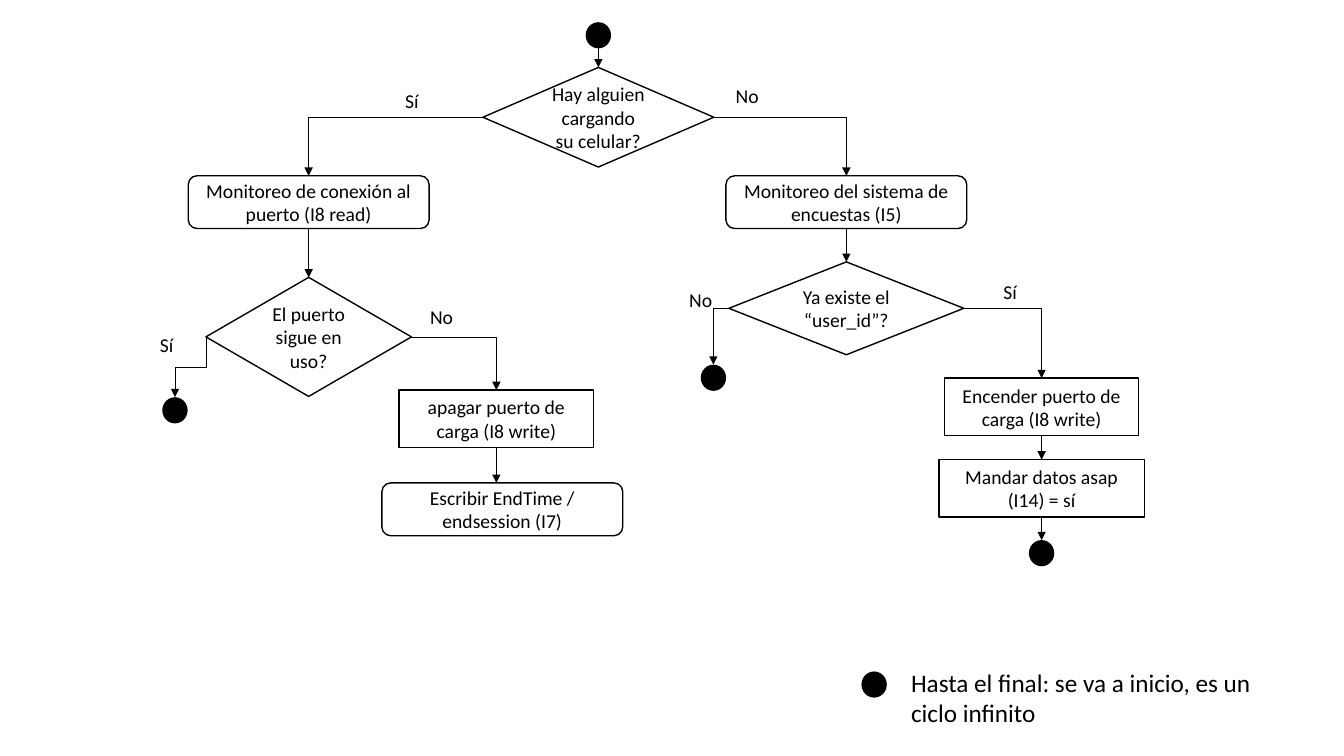
from lxml.etree import SubElement
from pptx import Presentation
from pptx.dml.color import RGBColor
from pptx.enum.shapes import MSO_CONNECTOR as Link, MSO_SHAPE as Shape
from pptx.enum.text import MSO_ANCHOR as Anchor, PP_ALIGN as Align
from pptx.oxml.ns import qn
from pptx.util import Cm, Pt

BLACK = RGBColor(0x00, 0x00, 0x00)
WHITE = RGBColor(0xFF, 0xFF, 0xFF)
FONT = "Calibri"
ROUNDED = (6.07, 1.33)
ACTION = (4.9, 1.45)
DOT = (0.64, 0.66)


def write(frame, text, size=14, align=Align.LEFT, anchor=Anchor.TOP):
    """Fill a text frame with one formatted paragraph."""
    frame.word_wrap = True
    frame.vertical_anchor = anchor
    para = frame.paragraphs[0]
    para.alignment = align
    span = para.add_run()
    span.text = text
    span.font.name = FONT
    span.font.size = Pt(size)
    span.font.color.rgb = BLACK


def add_node(page, kind, centre, top, size, text):
    """Draw an outlined step with centred text."""
    width, height = size
    node = page.shapes.add_shape(kind, Cm(centre - width / 2), Cm(top), Cm(width), Cm(height))
    node.shadow.inherit = False
    node.fill.solid()
    node.fill.fore_color.rgb = WHITE
    node.line.color.rgb = BLACK
    node.line.width = Pt(1)
    write(node.text_frame, text, align=Align.CENTER, anchor=Anchor.MIDDLE)
    return node


def add_dot(page, centre, top):
    """Draw a black start or end dot."""
    width, height = DOT
    dot = page.shapes.add_shape(Shape.OVAL, Cm(centre - width / 2), Cm(top), Cm(width), Cm(height))
    dot.shadow.inherit = False
    dot.fill.solid()
    dot.fill.fore_color.rgb = BLACK
    dot.line.fill.background()
    return dot


def add_text(page, left, top, text, width=1.75, height=0.86, size=14):
    """Place a free text box."""
    box = page.shapes.add_textbox(Cm(left), Cm(top), Cm(width), Cm(height))
    write(box.text_frame, text, size=size)


def add_arrow(page, kind, begin, end):
    """Draw a thin line that ends in a triangle."""
    arrow = page.shapes.add_connector(kind, *begin, *end)
    arrow.line.color.rgb = BLACK
    arrow.line.width = Pt(0.5)
    SubElement(arrow.line._get_or_add_ln(), qn("a:tailEnd"), type="triangle")
    SubElement(arrow._element.spPr, qn("a:effectLst"))
    return arrow


def middle(node):
    """Return the horizontal centre of a node."""
    return node.left + node.width // 2


def side(node, right):
    """Return the right or left corner point of a node."""
    return node.left + (node.width if right else 0), node.top + node.height // 2


def link_down(page, upper, lower):
    """Join two stacked nodes with a vertical arrow."""
    axis = middle(upper)
    add_arrow(page, Link.STRAIGHT, (axis, upper.top + upper.height), (axis, lower.top))


def link_corner(page, decision, target, right):
    """Leave a decision sideways and turn once, down to the target."""
    arrow = add_arrow(page, Link.ELBOW, side(decision, right), (middle(target), target.top))
    arrow._element.spPr.find(qn("a:prstGeom")).set("prst", "bentConnector2")


def link_step(page, decision, target):
    """Go down, left and down again from the left corner of a decision."""
    x, y = side(decision, False)
    run, drop = x - middle(target), target.top - y
    left, top = x - (run + drop) // 2, y + (drop - run) // 2
    arrow = add_arrow(page, Link.ELBOW, (left, top), (left + drop, top + run))
    arrow._element.spPr.find(qn("a:xfrm")).set("rot", "5400000")


def draw_start(page, left, top):
    """Draw the start dot and first question; return the question."""
    axis = left + 5.12
    dot = add_dot(page, axis, top)
    question = add_node(page, Shape.DIAMOND, axis, top + 1.14, (5.82, 2.51),
                        "Hay alguien cargando su celular?")
    link_down(page, dot, question)
    add_text(page, left, top + 1.55, "Sí")
    add_text(page, left + 8.33, top + 1.42, "No")
    return question


def draw_port_branch(page, left, top):
    """Draw the branch that watches the port; return its first step."""
    axis = left + 4
    monitor = add_node(page, Shape.ROUNDED_RECTANGLE, axis, top, ROUNDED,
                       "Monitoreo de conexión al puerto (I8 read)")
    question = add_node(page, Shape.DIAMOND, axis, top + 2.56, (5.18, 3),
                        "El puerto sigue en uso?")
    dot = add_dot(page, left + 0.63, top + 5.58)
    switch_off = add_node(page, Shape.RECTANGLE, left + 8.73, top + 5.4, ACTION,
                          "apagar puerto de carga (I8 write)")
    record = add_node(page, Shape.ROUNDED_RECTANGLE, left + 8.88, top + 7.74, ROUNDED,
                      "Escribir EndTime / endsession (I7)")
    link_down(page, monitor, question)
    link_step(page, question, dot)
    link_corner(page, question, switch_off, right=True)
    link_down(page, switch_off, record)
    add_text(page, left, top + 3.83, "Sí")
    add_text(page, left + 6.81, top + 3.14, "No")
    return monitor


def draw_survey_branch(page, left, top):
    """Draw the branch that watches the surveys; return its first step."""
    axis, yes_axis = left + 4.21, left + 9.13
    monitor = add_node(page, Shape.ROUNDED_RECTANGLE, axis, top, ROUNDED,
                       "Monitoreo del sistema de encuestas (I5)")
    question = add_node(page, Shape.DIAMOND, axis, top + 2.17, (5.92, 2.34),
                        "Ya existe el “user_id”?")
    no_dot = add_dot(page, left + 0.86, top + 4.76)
    switch_on = add_node(page, Shape.RECTANGLE, yes_axis, top + 5.1, ACTION,
                         "Encender puerto de carga (I8 write)")
    send = add_node(page, Shape.RECTANGLE, yes_axis, top + 7.15, (5.18, 1.45),
                    "Mandar datos asap (I14) = sí")
    yes_dot = add_dot(page, yes_axis, top + 9.18)
    link_down(page, monitor, question)
    link_corner(page, question, no_dot, right=False)
    link_corner(page, question, switch_on, right=True)
    link_down(page, switch_on, send)
    link_down(page, send, yes_dot)
    add_text(page, left, top + 2.71, "No")
    add_text(page, left + 7.92, top + 2.5, "Sí")
    return monitor


def draw_legend(page, left, top):
    """Explain the meaning of the dot."""
    add_dot(page, left + 0.32, top + 0.23)
    add_text(page, left + 1, top, "Hasta el final: se va a inicio, es un ciclo infinito",
             width=9.3, height=1.8, size=18)


def main():
    """Build the flowchart slide and save the deck."""
    deck = Presentation()
    deck.slide_width, deck.slide_height = Cm(33.87), Cm(19.05)
    page = deck.slides.add_slide(deck.slide_layouts[6])
    question = draw_start(page, 9.96, 0.56)
    port = draw_port_branch(page, 3.78, 4.43)
    survey = draw_survey_branch(page, 17.12, 4.43)
    link_corner(page, question, port, right=False)
    link_corner(page, question, survey, right=True)
    draw_legend(page, 21.71, 16.69)
    deck.save("out.pptx")


if __name__ == "__main__":
    main()
